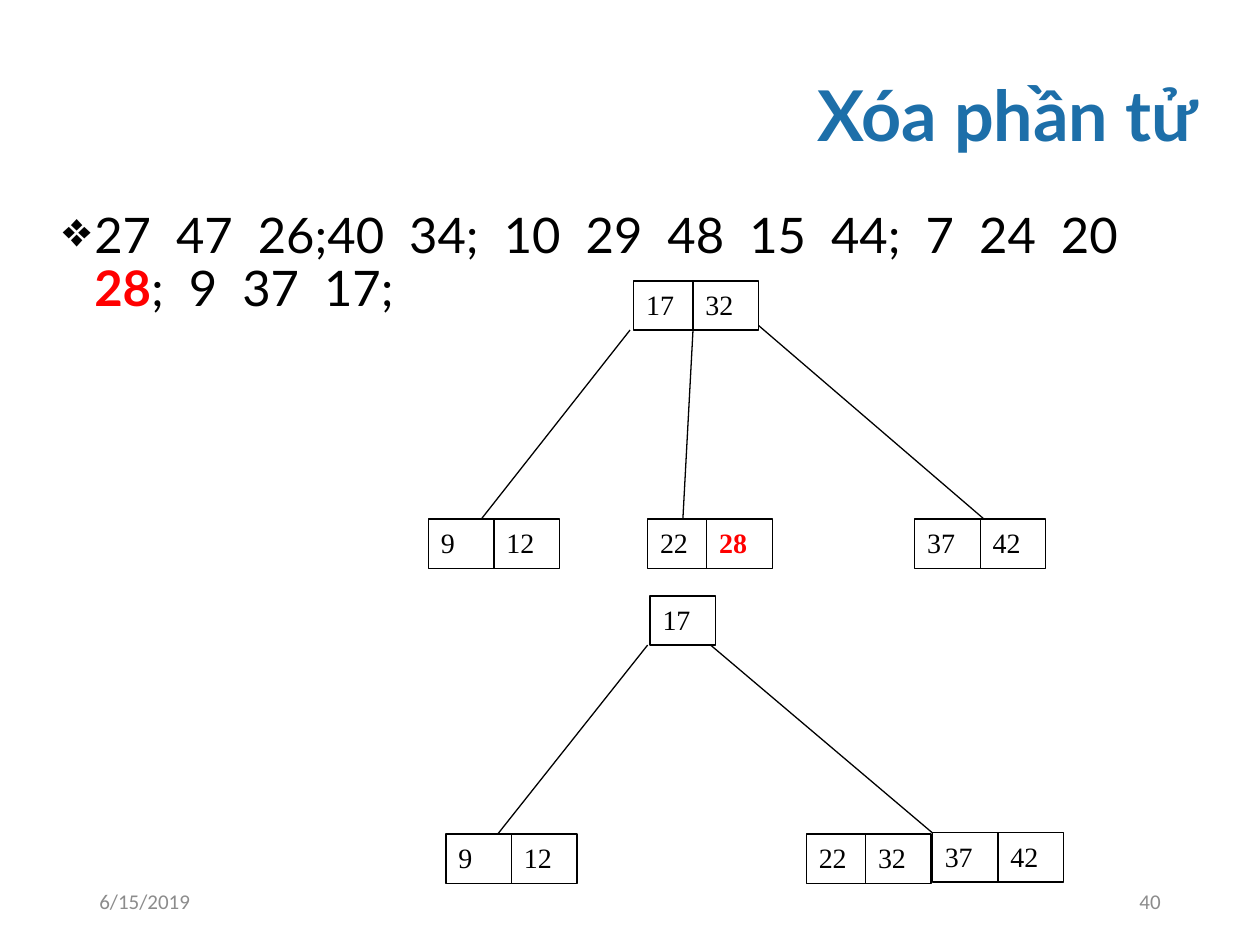
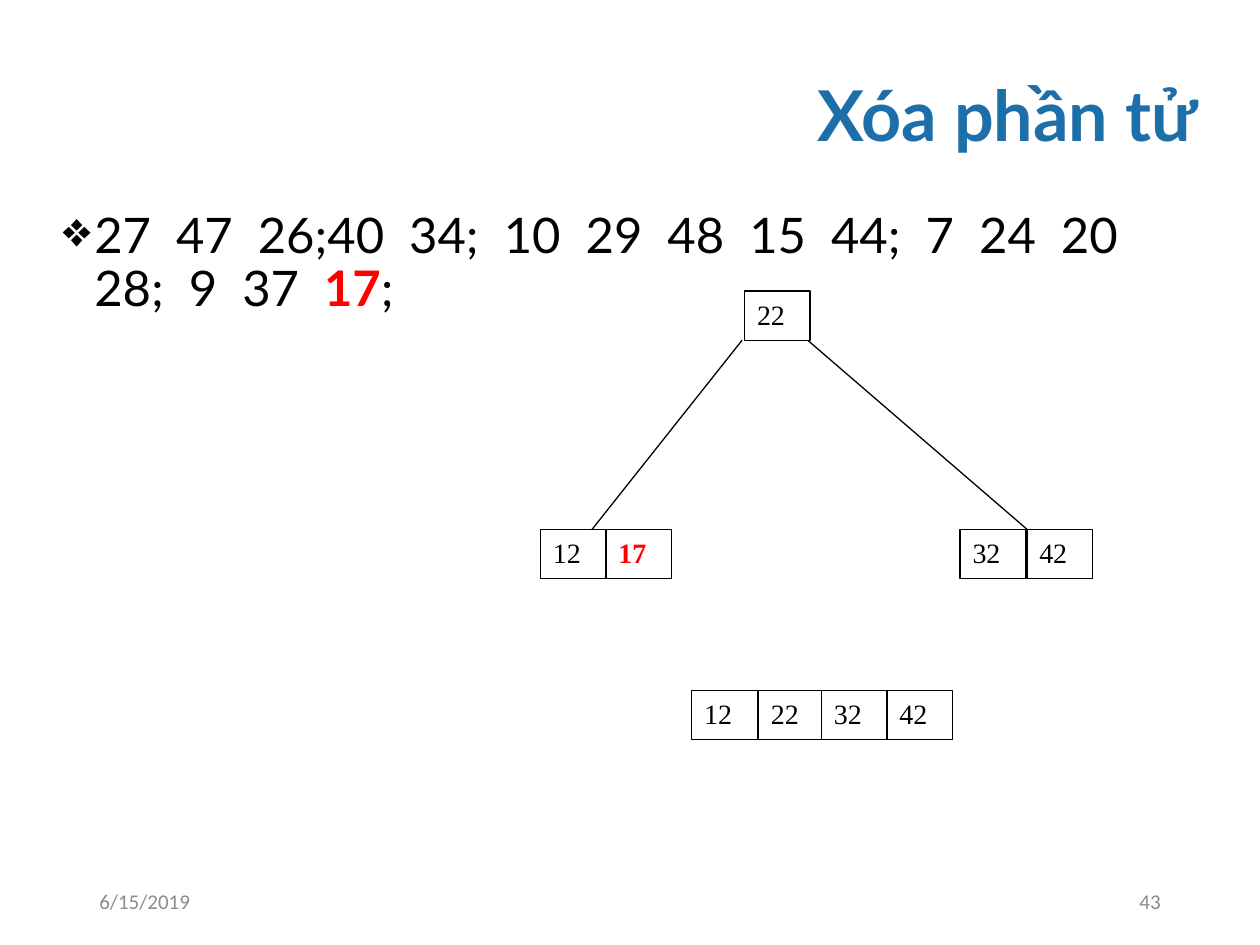
from lxml.etree import SubElement
from pptx import Presentation
from pptx.dml.color import RGBColor
from pptx.enum.shapes import MSO_CONNECTOR, MSO_SHAPE
from pptx.enum.text import MSO_ANCHOR, PP_ALIGN
from pptx.oxml.ns import qn
from pptx.util import Inches, Pt

# Content: each node is (top, [(key, left), ...]), each edge is (x1, y1, x2, y2)
TITLE = "Xóa phần tử"
DATE = "6/15/2019"
GAP = chr(160) + " "  # the numbers stand a wide, half-fixed space apart

SLIDES = [
    {
        "number": "40",
        "before": "27 47 26;40 34; 10 29 48 15 44; 7 24 20 ",
        "removed": "28",
        "after": "; 9 37 17;",
        "nodes": [
            (2.23, [("17", 5.03), ("32", 5.5)]),
            (4.12, [("9", 3.4), ("12", 3.92)]),
            (4.12, [("22", 5.14), ("28", 5.61)]),
            (4.12, [("37", 7.26), ("42", 7.78)]),
            (4.73, [("17", 5.16)]),
            (6.62, [("9", 3.54), ("12", 4.06)]),
            (6.62, [("22", 6.4), ("32", 6.87)]),
            (6.61, [("37", 7.4), ("42", 7.92)]),
        ],
        "edges": [
            (5, 2.62, 3.82, 4.12),
            (5.5, 2.62, 5.42, 4.12),
            (5.97, 2.54, 7.81, 4.12),
            (5.14, 5.12, 3.95, 6.62),
            (5.64, 5.12, 7.4, 6.61),
        ],
    },
    {
        "number": "43",
        "before": "27 47 26;40 34; 10 29 48 15 44; 7 24 20 28; 9 37 ",
        "removed": "17",
        "after": ";",
        "nodes": [
            (2.31, [("22", 5.91)]),
            (4.2, [("12", 4.29), ("17", 4.81)]),
            (4.2, [("32", 7.62), ("42", 8.15)]),
            (5.48, [("12", 5.49), ("22", 6.02), ("32", 6.52), ("42", 7.04)]),
        ],
        "edges": [(5.89, 2.7, 4.7, 4.2), (6.41, 2.7, 8.15, 4.2)],
    },
]

# Shared look
BLACK, WHITE, RED = "000000", "FFFFFF", "FF0000"
BLUE, GREY = "1D6FA9", "8C8C8C"
CELL_WIDTH, CELL_HEIGHT = 0.52, 0.39
LINE_WIDTH = 0.75

TITLE_FONT = {"name": "Lato", "size": Pt(40), "bold": True}
SEQUENCE_FONT = {"name": "Lato", "size": Pt(28)}
FOOTER_FONT = {"name": "Calibri", "size": Pt(12)}
KEY_FONT = {"name": "Times New Roman", "size": Pt(16)}
REMOVED = {"bold": True}

TITLE_PARAGRAPH = {"alignment": PP_ALIGN.RIGHT, "line_spacing": 0.9}
SEQUENCE_PARAGRAPH = {"line_spacing": 0.9, "space_before": Pt(10)}


def rgb(color):
    return RGBColor.from_string(color)


def set_all(target, values):
    for name, value in values.items():
        setattr(target, name, value)


def add_run(paragraph, text, font, color):
    run = paragraph.add_run()
    run.text = text
    set_all(run.font, font)
    run.font.color.rgb = rgb(color)


def add_text(slide, box, runs, layout, anchor=MSO_ANCHOR.MIDDLE):
    frame = slide.shapes.add_textbox(*map(Inches, box)).text_frame
    set_all(frame, {"word_wrap": True, "vertical_anchor": anchor})
    paragraph = frame.paragraphs[0]
    set_all(paragraph, layout)
    for run in runs:
        add_run(paragraph, *run)
    return paragraph


def add_bullet(paragraph, mark, indent):
    properties = paragraph._p.get_or_add_pPr()
    properties.set("marL", str(Inches(indent)))
    properties.set("indent", str(-Inches(indent)))
    SubElement(properties, qn("a:buChar"), char=mark)


def add_frame(slide, number):
    """Title and footers, the same on every slide."""
    add_text(slide, (0.4, 0.4, 9.2, 1.08), [(TITLE, TITLE_FONT, BLUE)], TITLE_PARAGRAPH)
    footers = [(0.69, DATE, PP_ALIGN.LEFT), (7.06, number, PP_ALIGN.RIGHT)]
    for left, text, side in footers:
        add_text(slide, (left, 6.95, 2.25, 0.4), [(text, FOOTER_FONT, GREY)],
                 {"alignment": side})


def add_sequence(slide, before, removed, after):
    runs = [
        (before.replace(" ", GAP), SEQUENCE_FONT, BLACK),
        (removed, SEQUENCE_FONT | REMOVED, RED),
        (after.replace(" ", GAP), SEQUENCE_FONT, BLACK),
    ]
    sequence = add_text(slide, (0.4, 1.63, 9.2, 5.17), runs, SEQUENCE_PARAGRAPH,
                        MSO_ANCHOR.TOP)
    add_bullet(sequence, "❖", 0.25)


def add_edge(slide, ends):
    edge = slide.shapes.add_connector(MSO_CONNECTOR.STRAIGHT, *map(Inches, ends))
    edge.line.color.rgb = rgb(BLACK)
    edge.line.width = Pt(LINE_WIDTH)
    SubElement(edge._element.spPr, qn("a:effectLst"))


def add_key(slide, key, left, top, is_removed):
    box = map(Inches, (left, top, CELL_WIDTH, CELL_HEIGHT))
    cell = slide.shapes.add_shape(MSO_SHAPE.RECTANGLE, *box)
    cell.shadow.inherit = False
    cell.fill.solid()
    cell.fill.fore_color.rgb = rgb(WHITE)
    cell.line.color.rgb = rgb(BLACK)
    cell.line.width = Pt(LINE_WIDTH)
    cell.text_frame.vertical_anchor = MSO_ANCHOR.TOP
    paragraph = cell.text_frame.paragraphs[0]
    paragraph.alignment = PP_ALIGN.LEFT
    if is_removed:
        add_run(paragraph, key, KEY_FONT | REMOVED, RED)
    else:
        add_run(paragraph, key, KEY_FONT, BLACK)


def main():
    deck = Presentation()
    deck.slide_width, deck.slide_height = Inches(10), Inches(7.5)
    for content in SLIDES:
        slide = deck.slides.add_slide(deck.slide_layouts[6])
        add_frame(slide, content["number"])
        add_sequence(slide, content["before"], content["removed"], content["after"])

        # Edges lie behind the nodes
        for ends in content["edges"]:
            add_edge(slide, ends)

        # Only the first tree still holds the removed key, in a leaf
        leaf_top = content["nodes"][1][0]
        for top, keys in content["nodes"]:
            for key, left in keys:
                is_removed = key == content["removed"] and top == leaf_top
                add_key(slide, key, left, top, is_removed)
    deck.save("out.pptx")


if __name__ == "__main__":
    main()
